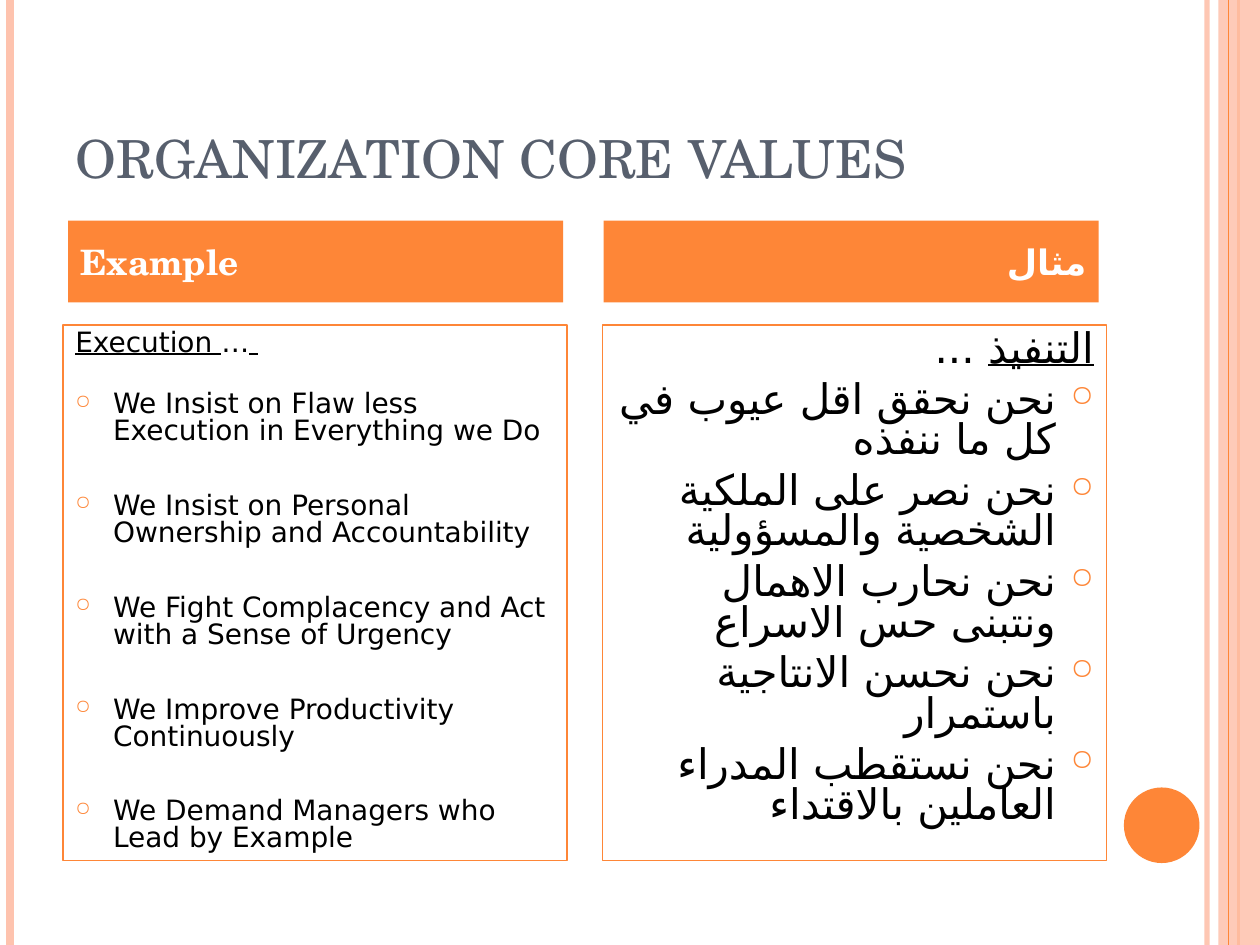
from lxml.etree import SubElement as Sub
from pptx import Presentation
from pptx.dml.color import RGBColor as RGB
from pptx.enum.shapes import MSO_CONNECTOR as Link, MSO_SHAPE as Kind
from pptx.enum.text import MSO_ANCHOR as Anchor, PP_ALIGN as Align
from pptx.oxml.ns import qn
from pptx.util import Inches, Pt

ORANGE, PEACH, WHITE, BLACK, SLATE = "FE8637", "FEC3AE", "FFFFFF", "000000", "575F6D"
TINT = "FEBB9E"
SERIF, SANS = "TeX Gyre Schola", "DejaVu Sans"

EDGES = [(9.58, PEACH, 3, 93), (0.08, PEACH, 4.5)]
STRIPES = [(9.83, TINT, 1.5), (9.75, ORANGE, 0.75)]
ENGLISH = [
    "We Insist on Flaw less Execution in Everything we Do",
    "We Insist on Personal Ownership and Accountability",
    "We Fight Complacency and Act with a Sense of Urgency",
    "We Improve Productivity Continuously",
    "We Demand Managers who Lead by Example",
]
ARABIC = [
    "نحن نحقق اقل عيوب في كل ما ننفذه",
    "نحن نصر على الملكية الشخصية والمسؤولية",
    "نحن نحارب الاهمال ونتبنى حس الاسراع",
    "نحن نحسن الانتاجية باستمرار",
    "نحن نستقطب المدراء العاملين بالاقتداء",
]


def apply(item, values):
    """Set each attribute of item from a dict."""
    for name, value in values.items():
        setattr(item, name, value)


def paint(part, color, alpha=100):
    """Give a fill format a solid colour and, below 100, an opacity."""
    part.solid()
    part.fore_color.rgb = RGB.from_string(color)
    if alpha < 100:
        tone = part._xPr.find(qn("a:solidFill"))[0]
        Sub(tone, qn("a:alpha"), val=str(alpha * 1000))


def add_rule(slide, x, color, width, alpha=100):
    """Draw a full-height vertical line."""
    rule = slide.shapes.add_connector(
        Link.STRAIGHT, Inches(x), Inches(0), Inches(x), Inches(7.5))
    rule.line.width = Pt(width)
    paint(rule.line.fill, color, alpha)
    Sub(rule._element.spPr, qn("a:effectLst"))


def add_block(slide, kind, box, fill=None, line=None, alpha=100):
    """Draw a preset shape with an optional fill and outline."""
    shape = slide.shapes.add_shape(kind, *map(Inches, box))
    shape.shadow.inherit = False
    if fill:
        paint(shape.fill, fill, alpha)
    else:
        shape.fill.background()
    if line:
        paint(shape.line.fill, line)
        shape.line.width = Pt(0.75)
    else:
        shape.line.fill.background()
    return shape


def set_frame(shape, anchor):
    """Prepare the text frame of a shape and return it."""
    frame = shape.text_frame
    apply(frame, {"word_wrap": True, "vertical_anchor": anchor})
    return frame


def add_run(para, text, size, font, color, **style):
    """Add a formatted run, with the sans font for Arabic letters."""
    run = para.add_run()
    run.text = text
    apply(run.font, {"size": Pt(size), "name": font, **style})
    run.font.color.rgb = RGB.from_string(color)
    Sub(run._r.get_or_add_rPr(), qn("a:cs"), typeface=SANS)


def set_side(para, rtl):
    """Align a paragraph to its reading side."""
    para.alignment = Align.RIGHT if rtl else Align.LEFT
    if rtl:
        para._p.get_or_add_pPr().set("rtl", "1")


def set_bullet(para):
    """Give a paragraph a small orange ring as bullet."""
    props = para._p.get_or_add_pPr()
    Sub(Sub(props, qn("a:buClr")), qn("a:srgbClr"), val=ORANGE)
    Sub(props, qn("a:buSzPct"), val="70000")
    Sub(props, qn("a:buFont"), typeface="OpenSymbol")
    Sub(props, qn("a:buChar"), char="○")


def add_title(slide, text):
    """Add the slide title."""
    box = slide.shapes.add_textbox(*map(Inches, (0.5, 0.3, 8.25, 1.25)))
    para = set_frame(box, Anchor.BOTTOM).paragraphs[0]
    add_run(para, text, 30, SERIF, SLATE)


def add_header(slide, x, text, rtl=False):
    """Add the filled heading of a column."""
    bar = add_block(slide, Kind.RECTANGLE, (x, 1.75, 3.93, 0.65), ORANGE)
    para = set_frame(bar, Anchor.MIDDLE).paragraphs[0]
    set_side(para, rtl)
    add_run(para, text, 20, SERIF, WHITE, bold=True)


def add_list(slide, x, lead, items, size, font, gaps, rtl=False):
    """Add an outlined column with a lead line and bulleted items."""
    box = add_block(slide, Kind.RECTANGLE, (x, 2.58, 4, 4.25), line=ORANGE)
    frame = set_frame(box, Anchor.TOP)
    rows = [lead] + [[(item, False)] for item in items]
    for i, row in enumerate(rows):
        para = frame.add_paragraph() if i else frame.paragraphs[0]
        set_side(para, rtl)
        props = para._p.get_or_add_pPr()
        props.set("marL", str(Inches(0.3)))
        props.set("indent", str(Inches(-0.3)))
        para.line_spacing = 0.8
        if i:
            set_bullet(para)
            para.space_before = Pt(gaps[min(i, 2) - 1])
        for text, under in row:
            add_run(para, text, size, font, BLACK, underline=under)


def main():
    """Build and save the slide."""
    deck = Presentation()
    apply(deck, {"slide_width": Inches(10), "slide_height": Inches(7.5)})
    slide = deck.slides.add_slide(deck.slide_layouts[6])
    for edge in EDGES:
        add_rule(slide, *edge)
    add_block(slide, Kind.RECTANGLE, (9.67, 0, 0.33, 7.5), PEACH, alpha=87)
    for stripe in STRIPES:
        add_rule(slide, *stripe)
    add_block(slide, Kind.OVAL, (8.92, 6.25, 0.6, 0.6), ORANGE)
    add_title(slide, "ORGANIZATION CORE VALUES")
    lead = [("Execution ", True), ("…", False), (" ", True)]
    add_list(slide, 0.5, lead, ENGLISH, 16, SANS, (19.6, 27.4))
    lead = [("التنفيذ", True), (" ...", False)]
    add_list(slide, 4.78, lead, ARABIC, 24, SERIF, (6, 6), rtl=True)
    add_header(slide, 0.54, "Example")
    add_header(slide, 4.79, "مثال", rtl=True)
    deck.save("out.pptx")


if __name__ == "__main__":
    main()
